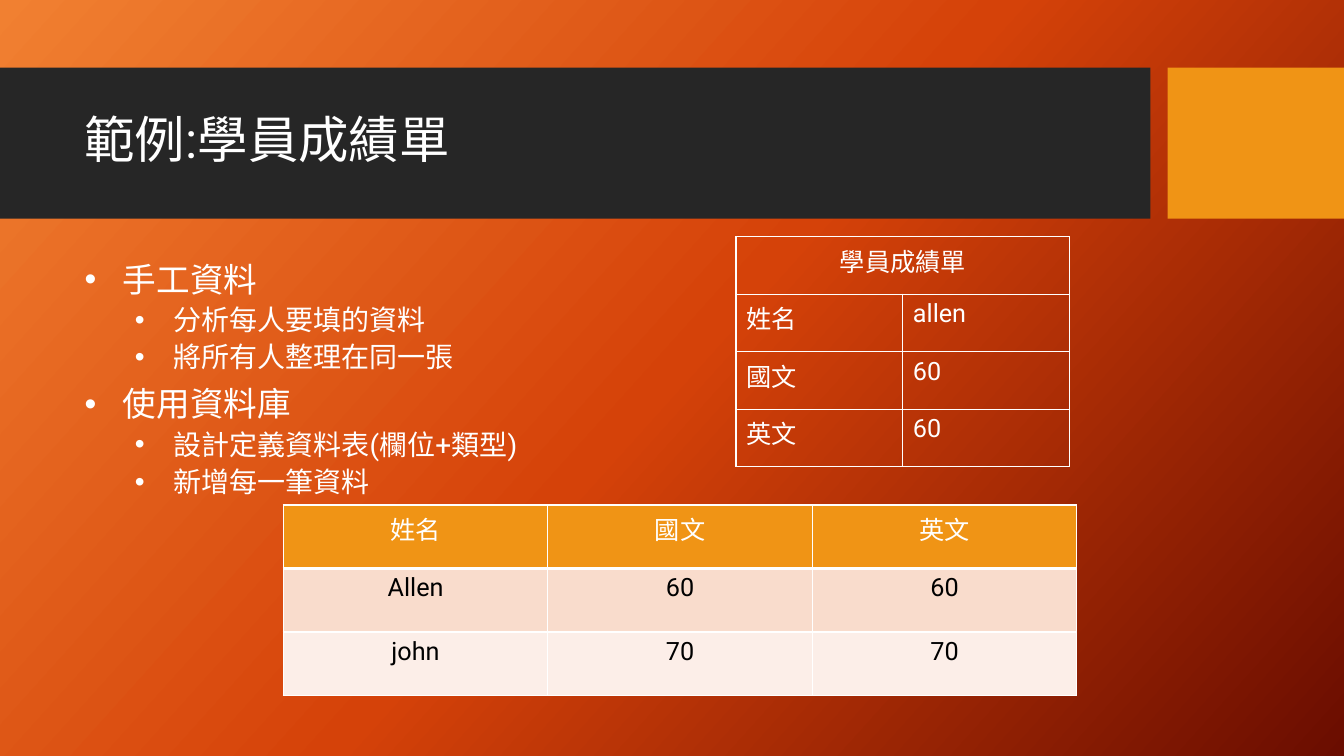
import copy

import pptx
import pptx.util
import pptx.dml.color
import pptx.enum.shapes
import pptx.enum.text
import pptx.oxml
import pptx.oxml.ns

Inches = pptx.util.Inches
Pt = pptx.util.Pt
RGB = pptx.dml.color.RGBColor
ALIGN = pptx.enum.text.PP_ALIGN
ANCHOR = pptx.enum.text.MSO_ANCHOR

WHITE = RGB(0xFF, 0xFF, 0xFF)
BLACK = RGB(0, 0, 0)
DARK = RGB(0x26, 0x26, 0x26)
AMBER = RGB(0xF0, 0x94, 0x15)
PEACH = RGB(0xF9, 0xDC, 0xCC)
CREAM = RGB(0xFC, 0xEE, 0xE8)
GLOW = {0: RGB(0xF1, 0x80, 0x31), 0.5: RGB(0xD5, 0x42, 0x09), 1: RGB(0x6A, 0x0D, 0x00)}

WIDE, HIGH = 13.33, 7.5
LEFT, SPAN = 0.74, 10.51
FONT = "Roboto"
LEVELS = [
    {"size": 24, "left": 0.38, "before": 10},
    {"size": 20, "left": 0.88, "before": 5},
]
POINTS = [
    (0, "手工資料"),
    (1, "分析每人要填的資料"),
    (1, "將所有人整理在同一張"),
    (0, "使用資料庫"),
    (1, "設計定義資料表(欄位+類型)"),
    (1, "新增每一筆資料"),
]
CARD = [["學員成績單", ""], ["姓名", "allen"], ["國文", "60"], ["英文", "60"]]
SCORES = [["姓名", "國文", "英文"], ["Allen", "60", "60"], ["john", "70", "70"]]


def apply(item, form):
    for key, value in form.items():
        setattr(item, key, value)


def style(para, size, color=WHITE, **form):
    apply(para, form)
    apply(para.font, {"size": Pt(size), "name": FONT})
    para.font.color.rgb = color


def backdrop(slide):
    fill = slide.background.fill
    fill.gradient()
    fill.gradient_angle = 360 - 42
    stops = slide.element.xpath(".//a:gsLst")[0]
    stops.append(copy.deepcopy(stops[0]))
    for stop, (place, color) in zip(fill.gradient_stops, GLOW.items()):
        stop.position = place
        stop.color.rgb = color


def block(slide, box, color):
    shape = slide.shapes.add_shape(
        pptx.enum.shapes.MSO_SHAPE.RECTANGLE, *map(Inches, box))
    shape.shadow.inherit = False
    shape.fill.solid()
    shape.fill.fore_color.rgb = color
    shape.line.fill.background()


def frame(slide, box, anchor):
    text = slide.shapes.add_textbox(*map(Inches, box)).text_frame
    apply(text, {"word_wrap": True, "vertical_anchor": anchor})
    return text


def banner(slide, top, high):
    edge, gap = 11.41, 0.17
    block(slide, (0, top, edge, high), DARK)
    block(slide, (edge + gap, top, WIDE - edge - gap, high), AMBER)
    text = frame(slide, (LEFT, top + 0.15, SPAN, 1.18), ANCHOR.MIDDLE)
    para = text.paragraphs[0]
    para.text = "範例:學員成績單"
    style(para, 36, line_spacing=0.9)


def outline(slide, box):
    text = frame(slide, box, ANCHOR.TOP)
    for index, (level, words) in enumerate(POINTS):
        para = text.add_paragraph() if index else text.paragraphs[0]
        para.text = words
        look = LEVELS[level]
        props = para._p.get_or_add_pPr()
        props.set("marL", str(Inches(look["left"])))
        props.set("indent", str(Inches(-0.38)))
        for tag, key, value in (("a:buFont", "typeface", "Arial"), ("a:buChar", "char", "•")):
            mark = pptx.oxml.parse_xml(f"<{tag} {pptx.oxml.ns.nsdecls('a')}/>")
            mark.set(key, value)
            props.append(mark)
        style(para, look["size"], level=level, line_spacing=0.9,
              space_before=Pt(look["before"] if index else 0))


def border(cell, base):
    props = cell._tc.get_or_add_tcPr()
    for place, (side, width) in enumerate({"L": 1, "R": 1, "T": 1, "B": base}.items()):
        line = pptx.oxml.parse_xml(
            f'<a:ln{side} {pptx.oxml.ns.nsdecls("a")} w="{Pt(width)}">'
            f'<a:solidFill><a:srgbClr val="{WHITE}"/></a:solidFill></a:ln{side}>')
        props.insert(place, line)


def grid(slide, box, data, fills, inks, aligns, base=1):
    rows, cols = len(data), len(data[0])
    table = slide.shapes.add_table(rows, cols, *map(Inches, box)).table
    for r, row in enumerate(data):
        for c, words in enumerate(row):
            cell = table.cell(r, c)
            cell.text = words
            style(cell.text_frame.paragraphs[0], 18, inks[r], alignment=aligns[r])
            if fills[r] is None:
                cell.fill.background()
            else:
                cell.fill.solid()
                cell.fill.fore_color.rgb = fills[r]
            border(cell, 1 if r else base)
    return table


def main():
    deck = pptx.Presentation()
    apply(deck, {"slide_width": Inches(WIDE), "slide_height": Inches(HIGH)})
    slide = deck.slides.add_slide(deck.slide_layouts[6])
    backdrop(slide)
    banner(slide, 0.67, 1.5)
    outline(slide, (LEFT, 2.56, SPAN, 3.94))
    card = grid(slide, (7.3, 2.35, 3.31, 2.28), CARD, [None] * 4, [WHITE] * 4,
                [ALIGN.CENTER] + [ALIGN.LEFT] * 3)
    card.cell(0, 0).merge(card.cell(0, 1))
    grid(slide, (2.81, 5.01, 7.87, 1.89), SCORES, [AMBER, PEACH, CREAM],
         [WHITE, BLACK, BLACK], [ALIGN.CENTER] * 3, 3)
    deck.save("out.pptx")


if __name__ == "__main__":
    main()
